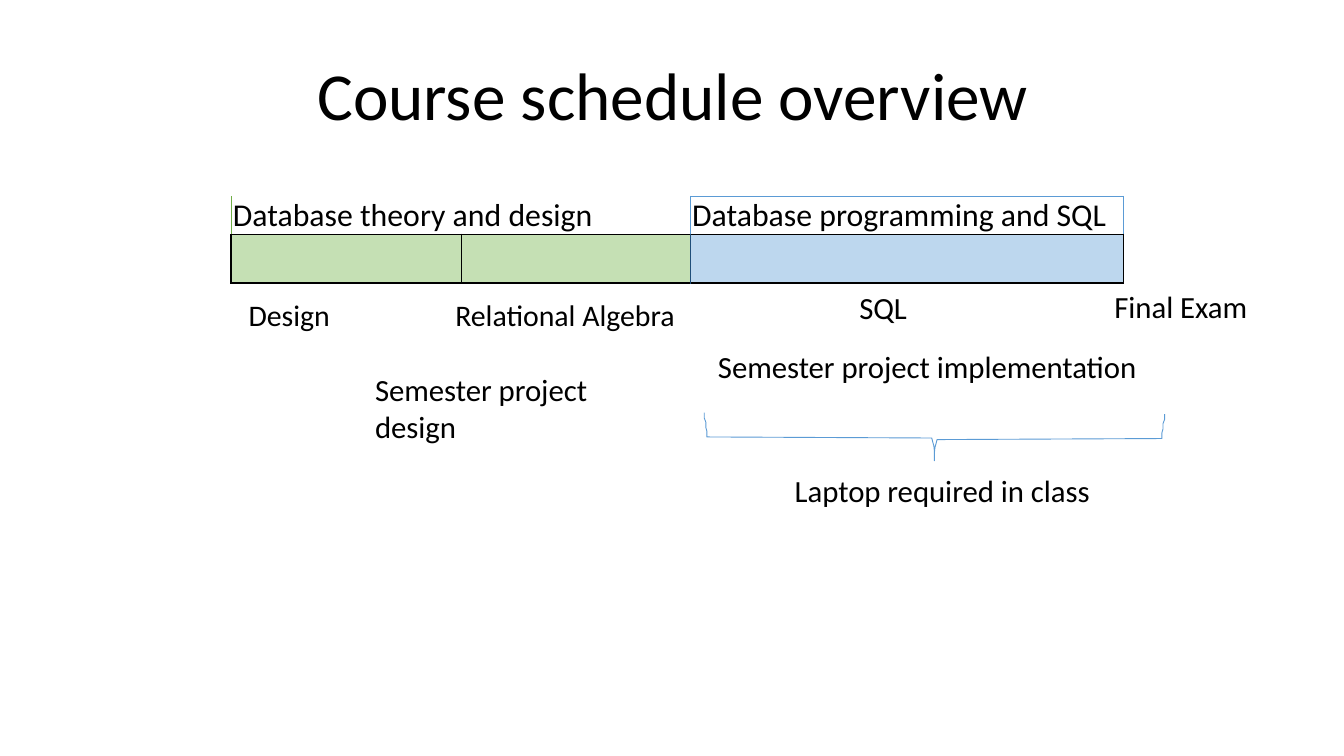
from dataclasses import dataclass

from lxml import etree
from pptx import Presentation
from pptx.dml.color import RGBColor
from pptx.enum.text import MSO_ANCHOR, PP_ALIGN
from pptx.oxml.ns import qn
from pptx.util import Cm, Pt

LEFT, CENTER = PP_ALIGN.LEFT, PP_ALIGN.CENTER
TOP, MIDDLE = MSO_ANCHOR.TOP, MSO_ANCHOR.MIDDLE


@dataclass(frozen=True)
class Theme:
    font: str = "Calibri"
    black: str = "000000"
    green_line: str = "70AD47"
    blue_line: str = "5B9BD5"
    navy_line: str = "1F4E79"
    green_fill: str = "C5E0B4"
    blue_fill: str = "BDD7EE"
    title_size: float = 36
    table_size: float = 17
    label_size: float = 16.5
    small_size: float = 16
    thin: float = 0.48
    thick: float = 1.02


class SlideBuilder:
    def __init__(self, slide, theme):
        self.slide = slide
        self.theme = theme

    def add_span(self, para, text, size, align=LEFT):
        para.alignment = align
        span = para.add_run()
        span.text = text
        span.font.name = self.theme.font
        span.font.size = Pt(size)
        span.font.color.rgb = RGBColor.from_string(self.theme.black)

    def text(self, text, left, top, width, height, size, align=LEFT, anchor=TOP):
        box = self.slide.shapes.add_textbox(Cm(left), Cm(top), Cm(width), Cm(height))
        frame = box.text_frame
        frame.word_wrap = True
        frame.vertical_anchor = anchor
        frame.margin_left = Cm(0.03)
        frame.margin_right = frame.margin_top = frame.margin_bottom = 0
        self.add_span(frame.paragraphs[0], text, size, align)

    def brace(self, half, axis, drop):
        """Draw the left half, then its mirror image, slightly lower."""
        mirror = [(2 * axis - x, y + drop) for x, y in reversed(half[:-1])]
        points = [(x * 100, y * 100) for x, y in half + mirror]
        builder = self.slide.shapes.build_freeform(*points[0], scale=Cm(0.01))
        builder.add_line_segments(points[1:], close=False)
        shape = builder.convert_to_shape()
        shape.shadow.inherit = False
        shape.fill.background()
        shape.line.color.rgb = RGBColor.from_string(self.theme.blue_line)
        shape.line.width = Pt(self.theme.thin)

    def table(self, left, top, widths, heights):
        frame = self.slide.shapes.add_table(
            len(heights), len(widths), Cm(left), Cm(top), Cm(sum(widths)), Cm(sum(heights)))
        table = frame.table
        table.first_row = table.horz_banding = False
        for column, width in zip(table.columns, widths):
            column.width = Cm(width)
        for row, height in zip(table.rows, heights):
            row.height = Cm(height)
        return table

    def cell(self, cell, borders, fill=None, text=None):
        """Borders come in the order left, right, top, bottom."""
        cell.margin_left = Cm(0.03)
        cell.margin_right = cell.margin_top = cell.margin_bottom = 0
        properties = cell._tc.get_or_add_tcPr()
        for side, border in zip("LRTB", borders):
            line = etree.SubElement(properties, qn(f"a:ln{side}"))
            if border is None:
                etree.SubElement(line, qn("a:noFill"))
                continue
            color, width = border
            line.set("w", str(Pt(width)))
            solid = etree.SubElement(line, qn("a:solidFill"))
            etree.SubElement(solid, qn("a:srgbClr")).set("val", color)
        if fill:
            cell.fill.solid()
            cell.fill.fore_color.rgb = RGBColor.from_string(fill)
        else:
            cell.fill.background()
        if text:
            self.add_span(cell.text_frame.paragraphs[0], text, self.theme.table_size)
        else:
            cell.text_frame.paragraphs[0].font.size = Pt(self.theme.table_size)


def main():
    theme = Theme()
    deck = Presentation()
    deck.slide_width, deck.slide_height = Cm(25.4), Cm(14.29)
    page = SlideBuilder(deck.slides.add_slide(deck.slide_layouts[6]), theme)

    # Title
    page.text("Course schedule overview", 1.27, 0.99, 22.86, 1.55,
              theme.title_size, CENTER, MIDDLE)

    # Topics and projects below the timeline
    labels = [
        ("Design", 4.67, 5.61, 2.5, theme.small_size, LEFT),
        ("Semester project design", 7.06, 7.01, 5, theme.label_size, LEFT),
        ("Relational Algebra", 8.53, 5.61, 4.27, theme.small_size, CENTER),
        ("SQL", 16.21, 5.46, 2.03, theme.label_size, LEFT),
        ("Final Exam", 21.03, 5.44, 3.15, theme.label_size, LEFT),
        ("Semester project implementation", 13.54, 6.58, 8.31, theme.label_size, LEFT),
        ("Laptop required in class", 14.99, 8.92, 6, theme.label_size, LEFT),
    ]
    for text, left, top, width, size, align in labels:
        page.text(text, left, top, width, 0.7, size, align)

    # Brace over the laptop note
    half = [(13.31, 7.8), (13.31, 7.9), (13.34, 7.98), (13.34, 8.08), (13.36, 8.15),
            (13.36, 8.26), (17.58, 8.28), (17.61, 8.28), (17.63, 8.36), (17.65, 8.43),
            (17.66, 8.53), (17.66, 8.66), (17.66, 8.71)]
    page.brace(half, axis=17.66, drop=0.03)

    # Timeline
    green, blue = (theme.green_line, theme.thin), (theme.blue_line, theme.thin)
    thin, thick = (theme.black, theme.thin), (theme.black, theme.thick)
    navy = (theme.navy_line, theme.thick)
    timeline = page.table(4.37, 3.71, [4.34, 4.34, 8.18], [0.72, 0.92])
    timeline.cell(0, 0).merge(timeline.cell(0, 1))
    cells = [
        (0, 0, (green, blue, None, thick), None, "Database theory and design"),
        (0, 1, (None, blue, None, thick), None, None),
        (0, 2, (blue, blue, blue, thick), None, "Database programming and SQL"),
        (1, 0, (thick, thin, thick, thick), theme.green_fill, None),
        (1, 1, (thin, navy, thick, thick), theme.green_fill, None),
        (1, 2, (navy, thin, thick, thick), theme.blue_fill, None),
    ]
    for row, column, borders, fill, text in cells:
        page.cell(timeline.cell(row, column), borders, fill, text)

    deck.save("out.pptx")


if __name__ == "__main__":
    main()
